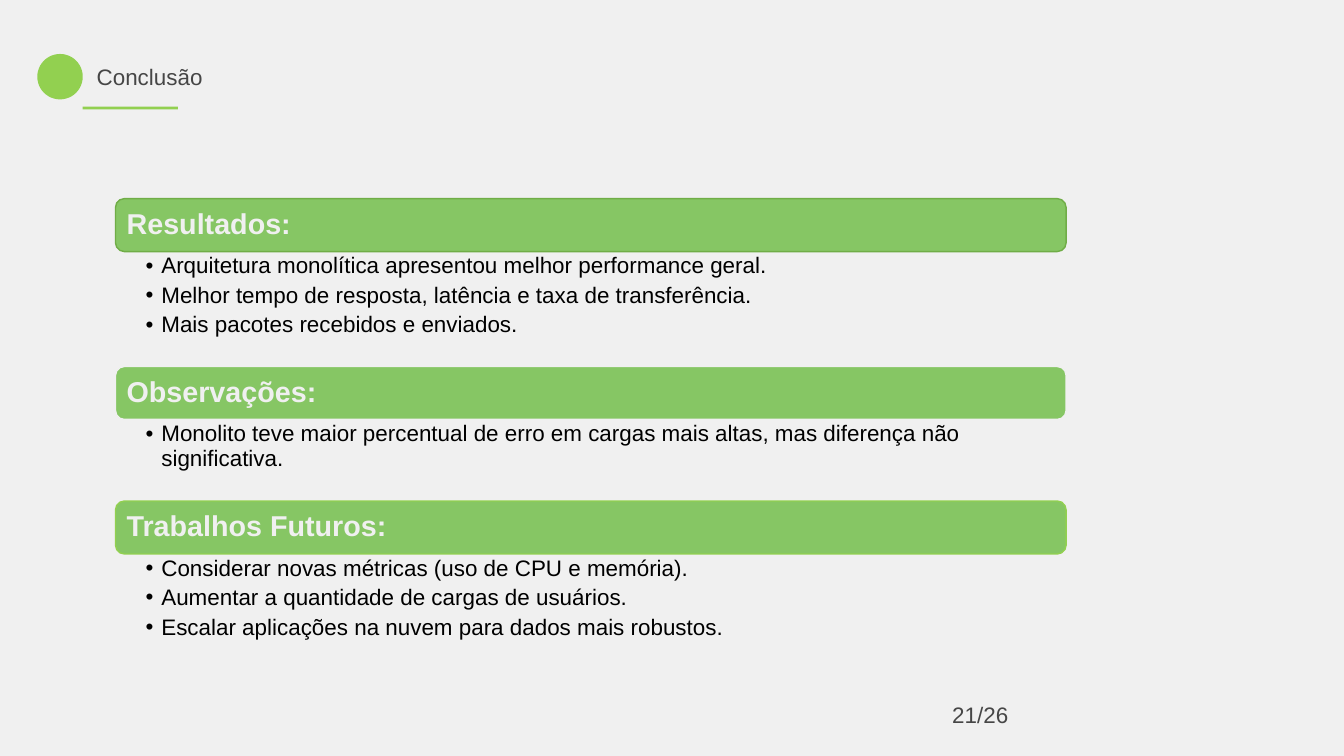
from dataclasses import dataclass

from lxml import etree
from pptx import Presentation
from pptx.dml.color import RGBColor
from pptx.enum import shapes, text
from pptx.oxml import ns
from pptx.util import Cm, Pt

FONT = "Arial"
GREEN, BAR_GREEN, GRAY, PALE, BLACK = "92D050", "86C664", "464646", "F0F0F0", "000000"
BLOCK_LEFT, BLOCK_WIDTH, BAR_HEIGHT, FIRST_TOP = 5.82, 47.9, 2.67, 10.01
BULLET_INDENT = Cm(0.79)


@dataclass
class Section:
    """A heading bar with the list below it."""
    heading: str
    outline: str
    list_height: float
    points: list[str]


SECTIONS = [
    Section("Resultados:", "70AD47", 5.79, [
        "Arquitetura monolítica apresentou melhor performance geral.",
        "Melhor tempo de resposta, latência e taxa de transferência.",
        "Mais pacotes recebidos e enviados.",
    ]),
    Section("Observações:", PALE, 4.11, [
        "Monolito teve maior percentual de erro em cargas mais altas, "
        "mas diferença não significativa.",
    ]),
    Section("Trabalhos Futuros:", GREEN, 4.37, [
        "Considerar novas métricas (uso de CPU e memória).",
        "Aumentar a quantidade de cargas de usuários.",
        "Escalar aplicações na nuvem para dados mais robustos.",
    ]),
]


def rgb(value: str) -> RGBColor:
    """Turn a hex string into a colour."""
    return RGBColor.from_string(value)


def place(shape, left: float, top: float, width: float, height: float) -> None:
    """Move and size a shape, in centimetres."""
    shape.left, shape.top, shape.width, shape.height = map(Cm, (left, top, width, height))


def set_frame(frame, insets: tuple[float, ...], anchor) -> None:
    """Set wrapping, anchor and the left, top, right and bottom insets."""
    frame.word_wrap = True
    frame.auto_size = text.MSO_AUTO_SIZE.NONE
    frame.vertical_anchor = anchor
    (frame.margin_left, frame.margin_top,
     frame.margin_right, frame.margin_bottom) = map(Cm, insets)


def style(paragraph, size: float, color: str, bold: bool = False) -> None:
    """Left-align a paragraph and format its runs."""
    paragraph.alignment = text.PP_ALIGN.LEFT
    paragraph.space_before = Pt(0)
    for run in paragraph.runs:
        run.font.name, run.font.size, run.font.bold = FONT, Pt(size), bold
        run.font.color.rgb = rgb(color)


def add_bullet(paragraph) -> None:
    """Give a paragraph a hanging round bullet."""
    properties = paragraph._p.get_or_add_pPr()
    properties.set("marL", str(BULLET_INDENT))
    properties.set("indent", str(-BULLET_INDENT))
    etree.SubElement(properties, ns.qn("a:buFont")).set("typeface", FONT)
    etree.SubElement(properties, ns.qn("a:buChar")).set("char", "•")


def add_solid(slide, kind, box: tuple[float, ...], fill: str, outline: str | None = None):
    """Draw a filled shape, outlined when a line colour is given."""
    shape = slide.shapes.add_shape(kind, *map(Cm, box))
    shape.shadow.inherit = False
    shape.fill.solid()
    shape.fill.fore_color.rgb = rgb(fill)
    if outline:
        shape.line.color.rgb = rgb(outline)
        shape.line.width = Pt(2)
    else:
        shape.line.fill.background()
    return shape


def write_label(shape, wording: str) -> None:
    """Write a single grey line in a shape."""
    shape.text_frame.text = wording
    set_frame(shape.text_frame, (0.25, 0.13, 0.25, 0.13), text.MSO_ANCHOR.TOP)
    style(shape.text_frame.paragraphs[0], 32, GRAY)


def draw_section(slide, section: Section, body, top: float) -> float:
    """Draw a section and return the top of the next one."""
    bar = add_solid(slide, shapes.MSO_SHAPE.ROUNDED_RECTANGLE,
                    (BLOCK_LEFT, top, BLOCK_WIDTH, BAR_HEIGHT), BAR_GREEN, section.outline)
    bar.text_frame.text = section.heading
    set_frame(bar.text_frame, (0.43,) * 4, text.MSO_ANCHOR.MIDDLE)
    heading = bar.text_frame.paragraphs[0]
    heading.line_spacing = 0.9
    style(heading, 41, PALE, bold=True)

    list_top = top + BAR_HEIGHT
    place(body, BLOCK_LEFT, list_top, BLOCK_WIDTH, section.list_height)
    body.text_frame.text = "\n".join(section.points)
    set_frame(body.text_frame, (1.52, 0.15, 0.81, 0.15), text.MSO_ANCHOR.TOP)
    for point in body.text_frame.paragraphs:
        point.level = 1
        add_bullet(point)
        point.line_spacing = 0.9
        point.space_after = Pt(7.5)
        style(point, 32, BLACK)
    return list_top + section.list_height


def main() -> None:
    """Build the conclusion slide."""
    deck = Presentation()
    deck.slide_width, deck.slide_height = Cm(67.72), Cm(38.1)
    slide = deck.slides.add_slide(deck.slide_layouts.get_by_name("Comparison"))
    slide.background.fill.solid()
    slide.background.fill.fore_color.rgb = rgb(PALE)

    title, *bodies = slide.placeholders
    add_solid(slide, shapes.MSO_SHAPE.RECTANGLE, (4.17, 5.38, 4.8, 0.13), GREEN)
    add_solid(slide, shapes.MSO_SHAPE.OVAL, (1.88, 2.72, 2.29, 2.29), GREEN)
    place(title, 4.62, 3.05, 40.77, 1.63)
    write_label(title, "Conclusão")

    top = FIRST_TOP
    for section, body in zip(SECTIONS, bodies):
        top = draw_section(slide, section, body, top)
    for unused in bodies[len(SECTIONS):]:
        unused.element.getparent().remove(unused.element)

    page_number = slide.shapes.add_textbox(*map(Cm, (47.73, 35.2, 15.39, 1.63)))
    write_label(page_number, "21/26")
    deck.save("out.pptx")


if __name__ == "__main__":
    main()
